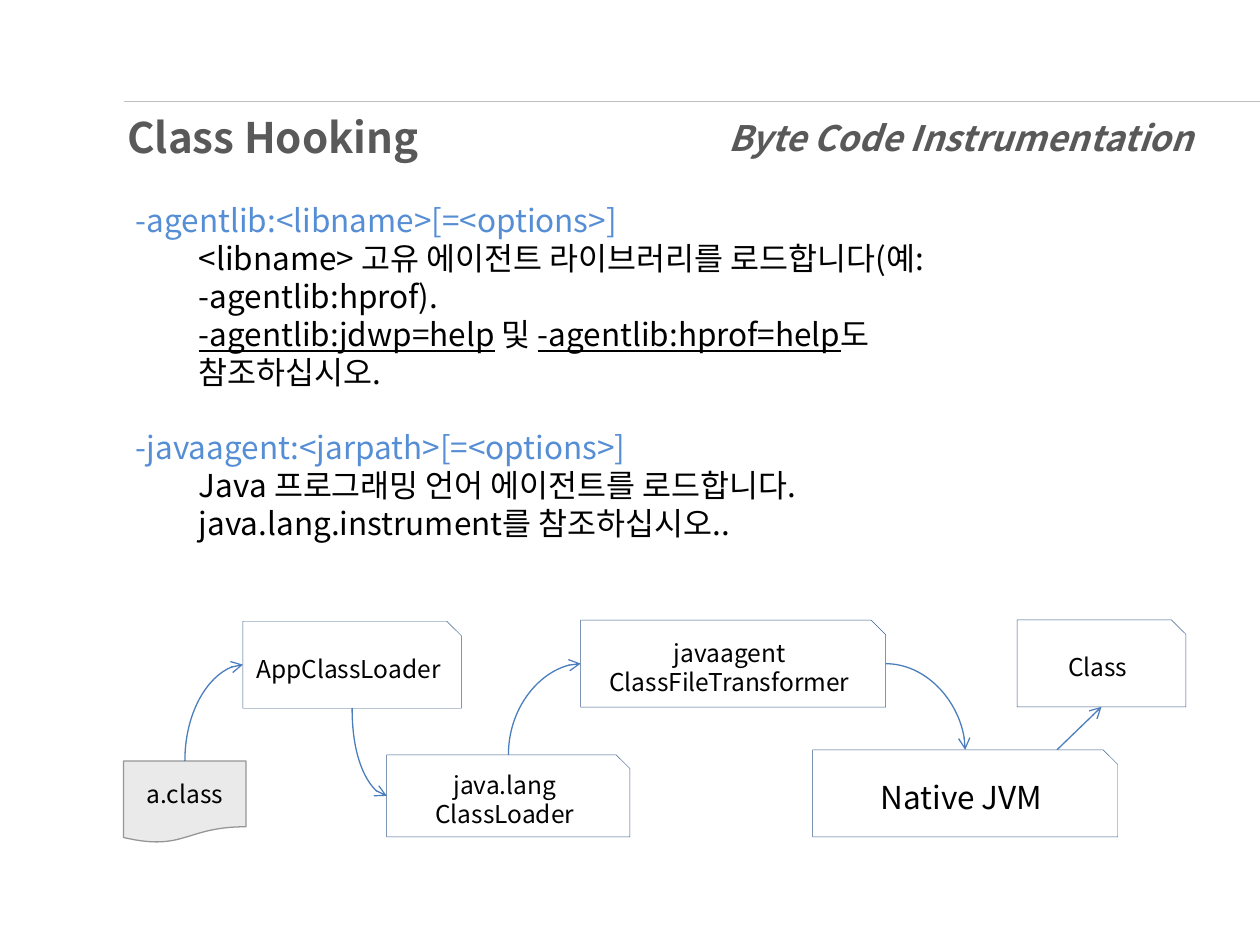
import pptx
import pptx.dml.color
import pptx.enum.dml
import pptx.enum.shapes
import pptx.enum.text
import pptx.oxml.ns
import pptx.util
from lxml import etree

Pt = pptx.util.Pt
qn = pptx.oxml.ns.qn
Shapes = pptx.enum.shapes.MSO_SHAPE
Connectors = pptx.enum.shapes.MSO_CONNECTOR
Align = pptx.enum.text.PP_ALIGN
MIDDLE = pptx.enum.text.MSO_ANCHOR.MIDDLE


def color(hex_string):
    return pptx.dml.color.RGBColor.from_string(hex_string)


def left_middle(shape):
    return shape.left, shape.top + shape.height // 2


def right_middle(shape):
    return shape.left + shape.width, shape.top + shape.height // 2


def top_center(shape):
    return shape.left + shape.width // 2, shape.top


def bottom_center(shape):
    return shape.left + shape.width // 2, shape.top + shape.height


class SlideBuilder:
    font = "Noto Sans CJK KR"
    black = "000000"
    heading = "595959"
    option = "558ED5"
    box_line = "3A5F8C"
    arrow_line = "4B7EBC"
    line_height = 1.2

    def __init__(self, presentation):
        self.slide = presentation.slides.add_slide(presentation.slide_layouts[5])

    def run(self, paragraph, text, size, hex_string=black, bold=False, italic=False, underline=False):
        run = paragraph.add_run()
        run.text = text
        font = run.font
        font.name, font.size = self.font, Pt(size)
        font.bold, font.italic, font.underline = bold, italic, underline
        font.color.rgb = color(hex_string)
        east_asian = etree.SubElement(font._element, qn("a:ea"))
        east_asian.set("typeface", self.font)
        paragraph.line_spacing = Pt(size * self.line_height)

    def title(self, text, left, top, width, height):
        title = self.slide.shapes.title
        title.left, title.top, title.width, title.height = map(Pt, (left, top, width, height))
        title.text_frame.vertical_anchor = MIDDLE
        paragraph = title.text_frame.paragraphs[0]
        paragraph.alignment = Align.LEFT
        self.run(paragraph, text, 24, self.heading, bold=True)

    def text_frame(self, left, top, width, height):
        box = self.slide.shapes.add_textbox(*map(Pt, (left, top, width, height)))
        box.text_frame.word_wrap = True
        return box.text_frame

    def section_name(self, text, left, top, width, height):
        frame = self.text_frame(left, top, width, height)
        frame.vertical_anchor = MIDDLE
        paragraph = frame.paragraphs[0]
        paragraph.alignment = Align.RIGHT
        self.run(paragraph, text, 20, self.heading, bold=True, italic=True)

    def option_list(self, options, left, top, width, height, size=18):
        """Each option is a name and its indented paragraphs of (text, underline) runs."""
        frame = self.text_frame(left, top, width, height)
        for index, (name, details) in enumerate(options):
            paragraph = frame.add_paragraph() if index else frame.paragraphs[0]
            if index:
                paragraph.space_before = Pt(size * self.line_height)
            self.run(paragraph, name, size, self.option)
            for runs in details:
                paragraph = frame.add_paragraph()
                paragraph.level = 1
                properties = paragraph._p.get_or_add_pPr()
                properties.set("marL", str(Pt(36)))
                properties.set("indent", "0")
                for text, underline in runs:
                    self.run(paragraph, text, size, underline=underline)

    def box(self, lines, left, top, width, height, size=14, kind=Shapes.SNIP_1_RECTANGLE,
            fill=None, line=box_line, weight=0.25):
        shape = self.slide.shapes.add_shape(kind, *map(Pt, (left, top, width, height)))
        shape.shadow.inherit = False
        if fill:
            shape.fill.solid()
            shape.fill.fore_color.rgb = color(fill)
        else:
            shape.fill.background()
        shape.line.color.rgb = color(line)
        shape.line.width = Pt(weight)
        frame = shape.text_frame
        frame.vertical_anchor = MIDDLE
        for index, text in enumerate(lines):
            paragraph = frame.add_paragraph() if index else frame.paragraphs[0]
            paragraph.alignment = Align.CENTER
            self.run(paragraph, text, size)
        return shape

    def line(self, start, end, hex_string=arrow_line, weight=0.75, kind=Connectors.STRAIGHT, arrow=True):
        connector = self.slide.shapes.add_connector(kind, *map(int, (*start, *end)))
        connector.line.color.rgb = color(hex_string)
        connector.line.width = Pt(weight)
        if arrow:
            etree.SubElement(connector.line._get_or_add_ln(), qn("a:tailEnd")).set("type", "arrow")
        etree.SubElement(connector._element.spPr, qn("a:effectLst"))
        return connector

    def curve(self, start, end, vertical_start=True):
        """Quarter curve; one that starts vertically is a horizontal one turned about its centre."""
        turn = 0
        if vertical_start:
            center_x, center_y = (start[0] + end[0]) / 2, (start[1] + end[1]) / 2
            rising = end[1] < start[1]
            turn = 90 if rising else 270
            half_width = abs(end[1] - start[1]) / 2
            half_height = (end[0] - start[0]) / 2 * (1 if rising else -1)
            start = center_x + half_width, center_y + half_height
            end = center_x - half_width, center_y - half_height
        properties = self.line(start, end, kind=Connectors.CURVE)._element.spPr
        properties.find(qn("a:prstGeom")).set("prst", "curvedConnector2")
        if turn:
            properties.find(qn("a:xfrm")).set("rot", str(turn * 60000))


def main():
    presentation = pptx.Presentation()
    presentation.slide_width, presentation.slide_height = Pt(720), Pt(540)
    builder = SlideBuilder(presentation)

    rule = builder.line((Pt(70.6), Pt(57.6)), (Pt(720), Pt(57.6)), "BFBFBF", 0.25, arrow=False)
    rule.line.dash_style = pptx.enum.dml.MSO_LINE.ROUND_DOT
    builder.title("Class Hooking", 65.5, 62, 648, 32.4)
    builder.section_name("Byte Code Instrumentation", 406.8, 60.5, 282.2, 36)

    builder.option_list([
        ("-agentlib:<libname>[=<options>]", [
            [("<libname> 고유 에이전트 라이브러리를 로드합니다(예: -agentlib:hprof).", False)],
            [("-agentlib:jdwp=help", True), (" 및 ", False),
             ("-agentlib:hprof=help", True), ("도 참조하십시오.", False)],
        ]),
        ("-javaagent:<jarpath>[=<options>]", [
            [("Java 프로그래밍 언어 에이전트를 로드합니다. java.lang.instrument를 참조하십시오..", False)],
        ]),
    ], 70.6, 111.6, 480.2, 203.8)

    class_file = builder.box(["a.class"], 70.6, 434.9, 70, 46.8, kind=Shapes.FLOWCHART_DOCUMENT,
                             fill="EAEAEA", line="969696", weight=0.75)
    frame = class_file.text_frame
    frame.word_wrap = False
    frame.margin_left = frame.margin_top = frame.margin_right = frame.margin_bottom = 0
    app_loader = builder.box(["AppClassLoader"], 138.8, 355, 124.8, 49.7)
    java_loader = builder.box(["java.lang", "ClassLoader"], 221, 431.4, 139, 46.8)
    transformer = builder.box(["javaagent", "ClassFileTransformer"], 331.8, 354.4, 174.3, 49.7)
    native_jvm = builder.box(["Native JVM"], 464.4, 428.5, 174.3, 49.7, size=18)
    loaded_class = builder.box(["Class"], 581.2, 354.2, 96.5, 49.7)

    builder.curve(top_center(class_file), left_middle(app_loader))
    builder.curve(bottom_center(app_loader), left_middle(java_loader))
    builder.curve(top_center(java_loader), left_middle(transformer))
    builder.curve(right_middle(transformer), top_center(native_jvm), vertical_start=False)
    builder.line((Pt(604), native_jvm.top), bottom_center(loaded_class))

    presentation.save("out.pptx")


if __name__ == "__main__":
    main()
